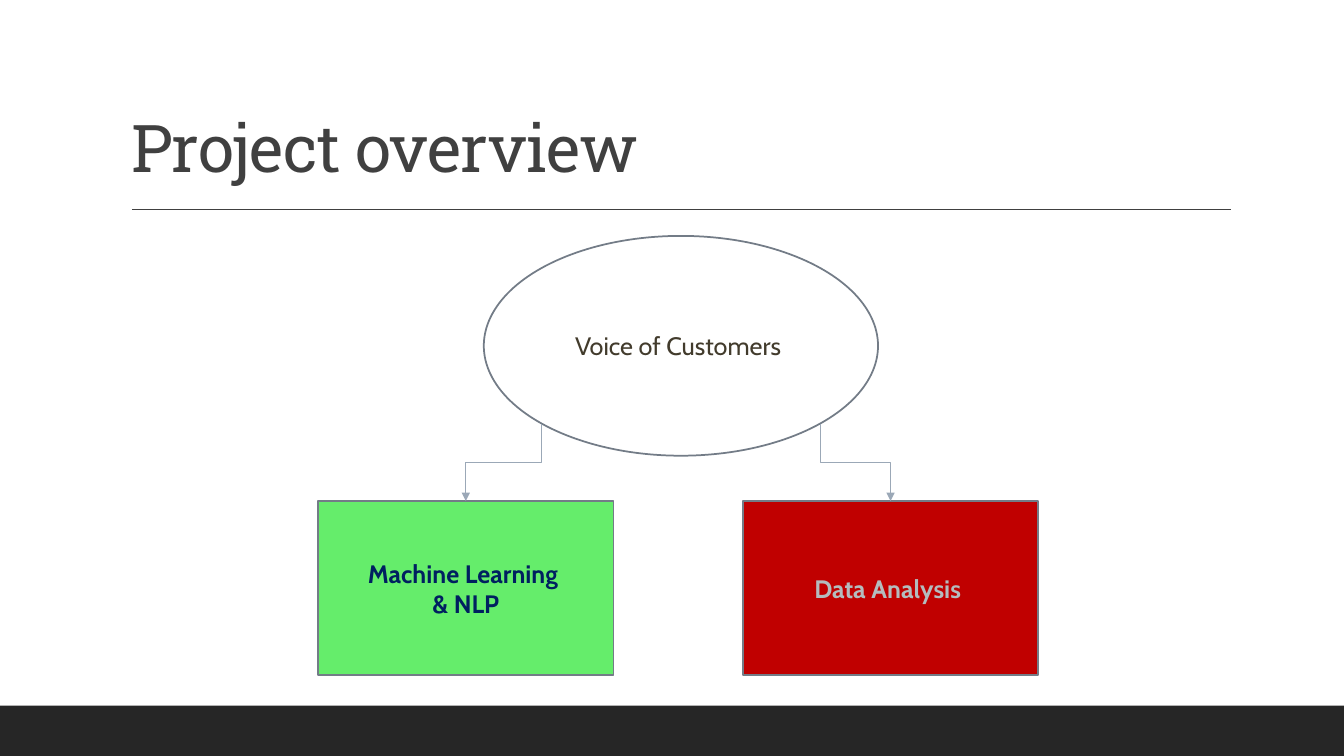
from math import cos, pi, sin

from lxml import etree
from pptx import Presentation
from pptx.dml.color import RGBColor
from pptx.enum.shapes import MSO_CONNECTOR, MSO_SHAPE
from pptx.enum.text import MSO_ANCHOR, MSO_AUTO_SIZE, PP_ALIGN
from pptx.oxml.ns import qn
from pptx.util import Pt

RECTANGLE, OVAL = MSO_SHAPE.RECTANGLE, MSO_SHAPE.OVAL
STRAIGHT, ELBOW = MSO_CONNECTOR.STRAIGHT, MSO_CONNECTOR.ELBOW
LEFT, CENTER = PP_ALIGN.LEFT, PP_ALIGN.CENTER
COLORS = {
    "white": "FFFFFF", "title": "404040", "footer": "262626",
    "outline": "737C87", "arrow": "9BA8B7", "voice": "423B2C",
    "green": "65ED6B", "navy": "002060", "red": "C00000", "gray": "B4BCBE",
}


def add_node(kind, box, fill, text="", text_color="white", bold=False, outline=None):
    """Add a filled shape with centred text, a paragraph for each line."""
    node = slide.shapes.add_shape(kind, *map(Pt, box))
    node.shadow.inherit = False
    node.fill.solid()
    node.fill.fore_color.rgb = RGBColor.from_string(COLORS[fill])
    if outline:
        node.line.color.rgb = RGBColor.from_string(COLORS[outline])
        node.line.width = Pt(1.25)
    else:
        node.line.fill.background()
    if text:
        frame = node.text_frame
        frame.text = text
        frame.vertical_anchor = MSO_ANCHOR.MIDDLE
        for paragraph in frame.paragraphs:
            paragraph.alignment = CENTER
            font = paragraph.runs[0].font
            font.name, font.size, font.bold = "Cabin", Pt(18), bold
            font.color.rgb = RGBColor.from_string(COLORS[text_color])


def add_line(kind, start, end, color):
    line = slide.shapes.add_connector(kind, *map(Pt, (*start, *end)))
    line.line.color.rgb = RGBColor.from_string(COLORS[color])
    line.line.width = Pt(1)
    etree.SubElement(line._element.spPr, qn("a:effectLst"))
    return line


prs = Presentation()
prs.slide_width, prs.slide_height = Pt(960), Pt(540)
slide = prs.slides.add_slide(prs.slide_layouts[5])

# Frame and title
add_node(RECTANGLE, (0, 504, 960, 36), "footer")
add_line(STRAIGHT, (94.3, 149.5), (879, 149.5), "title")

title = slide.shapes.title
title.left, title.top, title.width, title.height = map(Pt, (86.4, 22.3, 792, 114.5))
title.text_frame.text = "Project overview"
title.text_frame.auto_size = MSO_AUTO_SIZE.NONE
title.text_frame.vertical_anchor = MSO_ANCHOR.BOTTOM
heading = title.text_frame.paragraphs[0]
heading.alignment, heading.line_spacing = LEFT, 0.9
heading_font = heading.runs[0].font
heading_font.name, heading_font.size = "Roboto Slab", Pt(47)
heading_font.color.rgb = RGBColor.from_string(COLORS["title"])
heading.runs[0]._r.get_or_add_rPr().set("spc", "-50")

# Source of the project and its two branches
voice_x, voice_y, voice_w, voice_h = 486.4, 247, 281.6, 157
add_node(OVAL, (voice_x - voice_w / 2, voice_y - voice_h / 2, voice_w, voice_h),
         "white", "Voice of Customers ", "voice", outline="outline")

branch_top, branch_w, branch_h = 357.8, 211, 124.6
branches = [
    (332.7, "Machine Learning \n& NLP", "green", "navy", -1),
    (636.1, "Data Analysis ", "red", "gray", 1),
]
for branch_x, label, fill, text_color, side in branches:
    add_node(RECTANGLE, (branch_x - branch_w / 2, branch_top, branch_w, branch_h),
             fill, label, text_color, bold=True, outline="outline")

    # An elbow leaves sideways, so it is laid flat and turned to run downwards
    start_x = voice_x + side * voice_w / 2 * cos(pi / 4)
    start_y = voice_y + voice_h / 2 * sin(pi / 4)
    middle_x, middle_y = (start_x + branch_x) / 2, (start_y + branch_top) / 2
    half_run = side * (branch_top - start_y) / 2
    half_rise = abs(branch_x - start_x) / 2
    arrow = add_line(ELBOW, (middle_x + half_run, middle_y - half_rise),
                     (middle_x - half_run, middle_y + half_rise), "arrow")
    turn = 90 if side < 0 else 270
    arrow._element.spPr.find(qn("a:xfrm")).set("rot", str(turn * 60000))
    etree.SubElement(arrow.line._get_or_add_ln(), qn("a:tailEnd"), type="triangle")

prs.save("out.pptx")
